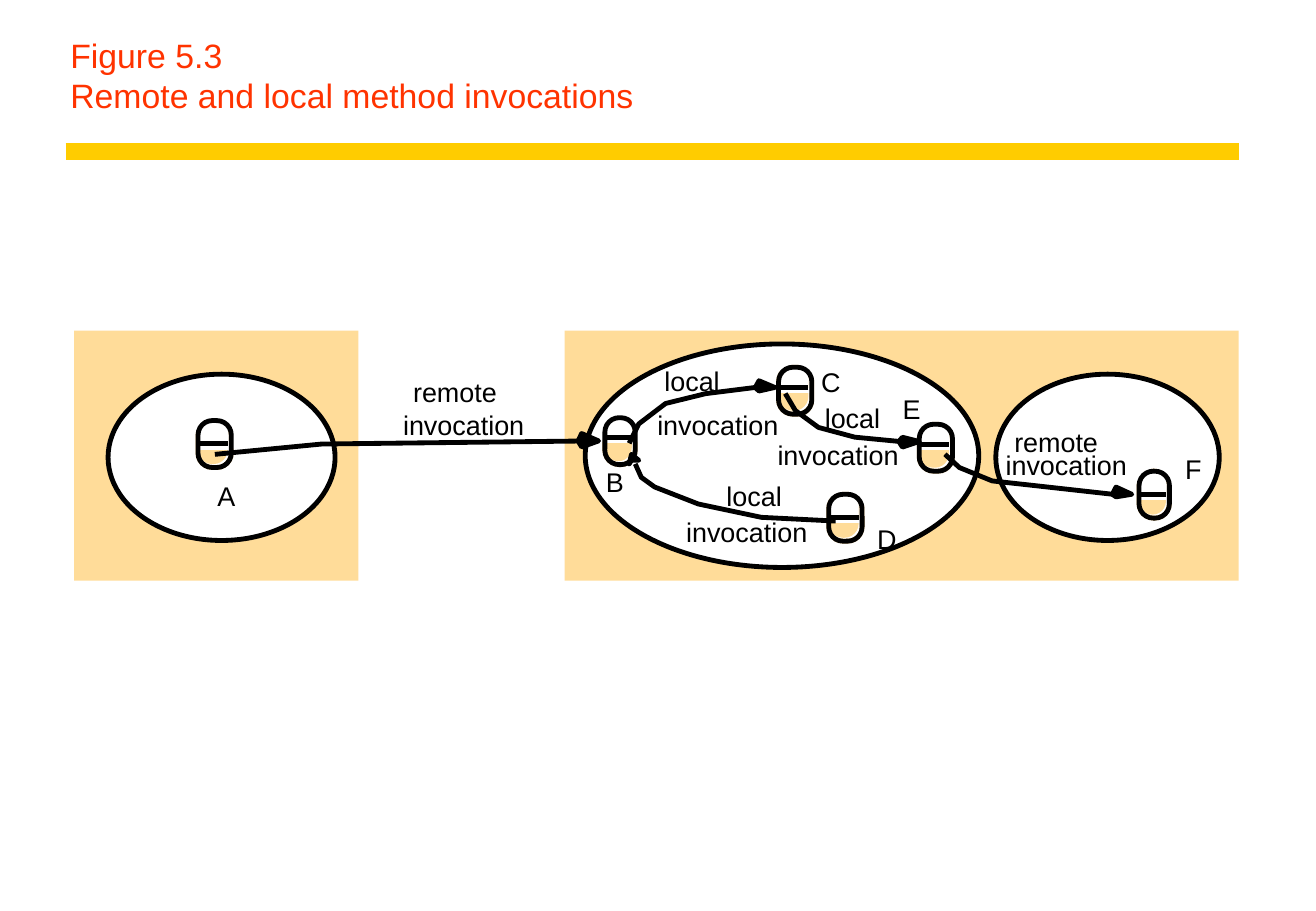
from pptx import Presentation
from pptx.dml.color import RGBColor
from pptx.enum import shapes, text
from pptx.util import Pt
from lxml import etree

# Content, in points
TITLE = "Figure 5.3\vRemote and local method invocations"
FONT, BLACK, WHITE, SAND = "Arial", "000000", "FFFFFF", "FFDC99"
LINE = 2.86
HOSTS = [(334.8, 196, 399.6, 148.3), (44, 196, 168.5, 148.3)]
AREAS = [(347, 203.9, 233.3, 132.5), (64.1, 221.8, 134.6, 98.6),
         (590.4, 221.8, 132.5, 98.6)]

# Objects: left, top, width, depth of the white top, its inset
OBJECTS = {
    "A": (117.4, 249.3, 19.7, 13.8, 0),
    "B": (358.6, 247.6, 18, 11.7, 0),
    "C": (461.6, 217.7, 19.7, 12, 2),
    "D": (491.3, 293, 19.8, 13.8, 2),
    "E": (545, 251.5, 19.7, 11.8, 0),
    "F": (675.3, 279.3, 18, 13.7, 0),
}
TALL = 27.8

# Calls: points of the line, then points of the head
CALLS = [
    ([(127.4, 269.3), (190.8, 263.2), (344.9, 261.4)],
     [(342.7, 261.4), (344.9, 257), (354.9, 261.4), (344.9, 265)]),
    ([(373, 262.8), (378.7, 251.3), (394.6, 239.2), (418.3, 233.4),
      (447.8, 229.7)],
     [(447.8, 229.7), (450, 225.7), (459.4, 229.7), (450, 231.8)]),
    ([(465.6, 233.3), (471.6, 243.4), (485.3, 253.4), (506.9, 259.2),
      (532.9, 261.7)],
     [(532.9, 261.7), (535, 259.2), (545, 261.7), (535, 265)]),
    ([(560.2, 269.3), (568.8, 277.2), (588.2, 285.1), (659.5, 293)],
     [(659.5, 293), (661.7, 288.7), (671, 293), (661.7, 294.5)]),
    ([(495.4, 308.9), (451.4, 306.7), (414, 298.8), (388.1, 288.7),
      (380.2, 283), (376.6, 275)],
     [(374.4, 272.9), (373, 275), (374.4, 269.3), (378.7, 272.9)]),
]

WIDTH = {"invocation": 72, "remote": 49.8, "local": 33.2}
LABELS = [
    ("remote", 244.9, 222.8), ("invocation", 239, 242.2),
    ("local", 393.9, 216.2), ("invocation", 389.7, 242.2),
    ("local", 489, 237.8), ("invocation", 461, 260.2),
    ("local", 430.7, 284), ("invocation", 406.8, 305.6),
    ("remote", 601.3, 252.3), ("invocation", 596.2, 266),
    ("A", 128.9, 284), ("B", 359.3, 276), ("C", 486.9, 216.9),
    ("D", 520, 309.9), ("E", 535.1, 232.8), ("F", 702.7, 268),
]

deck = Presentation()
deck.slide_width = Pt(780.2)
deck.slide_height = Pt(540)
slide = deck.slides.add_slide(deck.slide_layouts[6])
KIND = shapes.MSO_SHAPE


def paint(target, color):
    target.solid()
    target.fore_color.rgb = RGBColor.from_string(color)


def style(shape, fill=None, line=None):
    shape.shadow.inherit = False
    for part, color in ((shape.fill, fill), (shape.line.fill, line)):
        if color:
            paint(part, color)
        else:
            part.background()
    if line:
        shape.line.width = Pt(LINE)


def draw(kind, box, fill=None, line=None):
    shape = slide.shapes.add_shape(kind, *map(Pt, box))
    style(shape, fill, line)
    return shape


def rule(x1, y1, x2, y2, color, width):
    line = slide.shapes.add_connector(
        shapes.MSO_CONNECTOR.STRAIGHT, Pt(x1), Pt(y1), Pt(x2), Pt(y2))
    paint(line.line.fill, color)
    line.line.width = Pt(width)
    props = line._element.spPr
    etree.SubElement(
        props, "{http://schemas.openxmlformats.org/drawingml/2006/main}effectLst")


def trace(points, closed, fill=None):
    dots = [(Pt(x), Pt(y)) for x, y in points]
    build = slide.shapes.build_freeform(*dots[0], scale=1.0)
    build.add_line_segments(dots[1:], close=closed)
    style(build.convert_to_shape(), fill, BLACK)


def pill(x, y, wide, tall, fill=None, line=None):
    shape = draw(KIND.ROUNDED_RECTANGLE, (x, y, wide, tall), fill, line)
    shape.adjustments[0] = min(0.5, 8.5 / wide)


def write(words, box, size, color, pad=(0, 0), wrap=False):
    frame = slide.shapes.add_textbox(*map(Pt, box)).text_frame
    frame.word_wrap = wrap
    frame.margin_left = frame.margin_right = Pt(pad[0])
    frame.margin_top = frame.margin_bottom = Pt(pad[1])
    frame.text = words
    for run in frame.paragraphs[0].runs:
        run.font.name, run.font.size = FONT, Pt(size)
        run.font.color.rgb = RGBColor.from_string(color)
    return frame


# Heading
rule(39, 90, 734.4, 90, "FFCC00", 10)
head = write(TITLE, (34.6, 18, 699.8, 54), 20, "FF3300", (7.2, 3.6), True)
head.vertical_anchor = text.MSO_ANCHOR.BOTTOM

# Hosts and processes
for box in HOSTS:
    draw(KIND.RECTANGLE, box, SAND)
for box in AREAS:
    draw(KIND.OVAL, box, WHITE, BLACK)

# Labels
for words, x, y in LABELS:
    write(words, (x, y, WIDTH.get(words, 11), 19.4), 16, BLACK)

# Objects
for x, y, wide, top, inset in OBJECTS.values():
    pill(x, y, wide - 2, TALL - 2, fill=SAND)
    pill(x, y, wide, TALL, line=SAND)
    draw(KIND.RECTANGLE, (x + inset, y, wide - 2 - inset, top), WHITE)
    draw(KIND.RECTANGLE, (x + inset, y, wide - inset, top + 2), line=WHITE)
    pill(x, y, wide, TALL, line=BLACK)
    rule(x, y + top, x + wide - 2, y + top, BLACK, LINE)

# Calls
for track, tip in CALLS:
    trace(tip, True, BLACK)
    trace(track, False)

deck.save("out.pptx")
